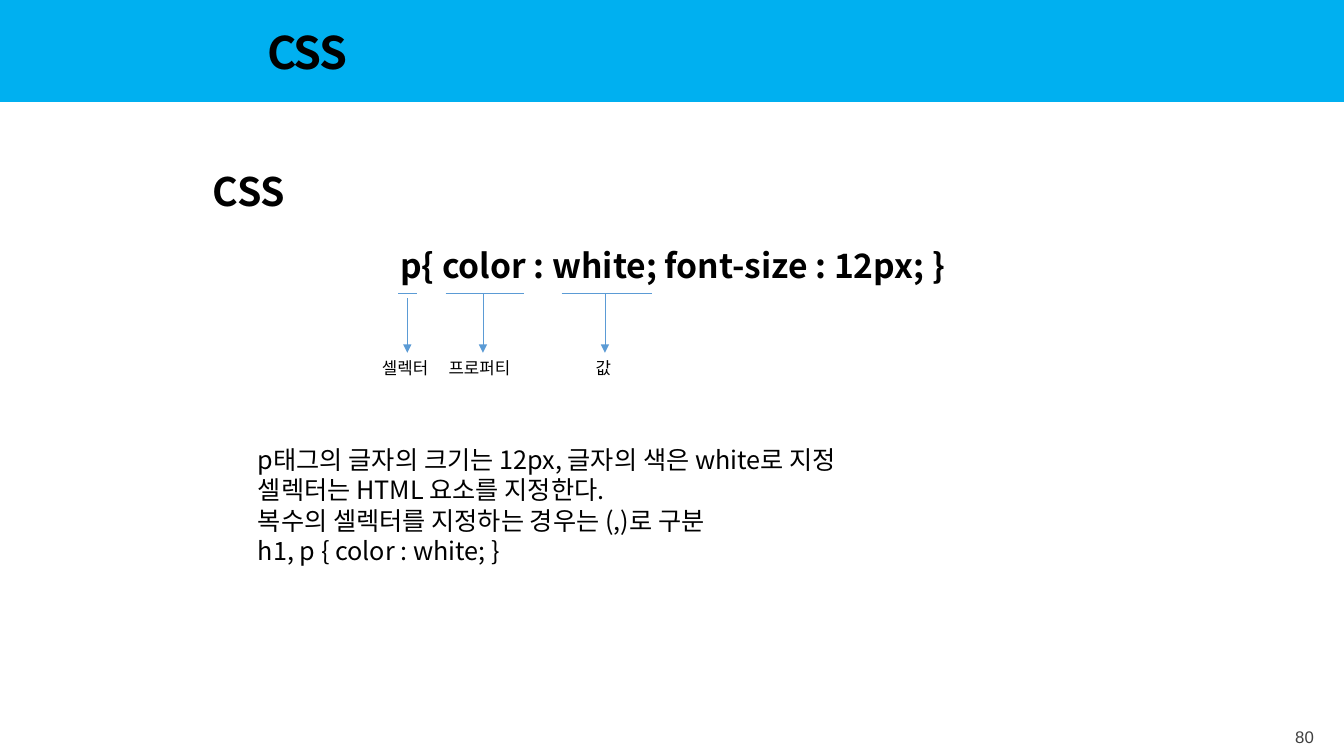
from dataclasses import dataclass

from pptx import Presentation
from pptx.dml.color import RGBColor
from pptx.enum.shapes import MSO_CONNECTOR, MSO_SHAPE
from pptx.enum.text import MSO_AUTO_SIZE, PP_ALIGN
from pptx.oxml.ns import qn
from pptx.util import Inches, Pt
from lxml.etree import SubElement


@dataclass(frozen=True)
class Theme:
    """Colours, fonts and type sizes of the slide."""
    band: RGBColor = RGBColor(0x00, 0xB0, 0xF0)
    ink: RGBColor = RGBColor(0x00, 0x00, 0x00)
    page: RGBColor = RGBColor(0x40, 0x40, 0x40)
    arrow: RGBColor = RGBColor(0x5B, 0x9B, 0xD5)
    face: str = "Noto Sans CJK KR"
    page_face: str = "Arial"
    title: int = 32
    heading: int = 28
    code: int = 24
    body: int = 18
    label: int = 12
    rule: float = 0.5


THEME = Theme()
RULE_Y, LABEL_Y = 2.91, 3.5
CODE_PARTS = [
    ("셀렉터", (3.95, 4.14), (4.04, 2.96), (3.69, 0.71)),
    ("프로퍼티", (4.42, 5.2), (4.79, RULE_Y), (4.35, 0.88)),
    ("값", (5.57, 6.47), (6, RULE_Y), (5.81, 0.37)),
]
EXPLANATION = [
    "p태그의 글자의 크기는 12px, 글자의 색은 white로 지정",
    "셀렉터는 HTML 요소를 지정한다.",
    "복수의 셀렉터를 지정하는 경우는 (,)로 구분",
    "h1, p { color : white; }",
]


def add_band(slide, width, height):
    """Draw the coloured band behind the title."""
    band = slide.shapes.add_shape(MSO_SHAPE.RECTANGLE, 0, 0, Inches(width), Inches(height))
    band.shadow.inherit = False
    band.fill.solid()
    band.fill.fore_color.rgb = THEME.band
    band.line.fill.background()


def add_text(slide, box, lines, size, bold=False, color=THEME.ink, face=THEME.face,
             align=PP_ALIGN.LEFT, wrap=True, grow=True, inset=0.05, spacing=0):
    """Write lines of text, one paragraph each, in a box given in inches."""
    frame = slide.shapes.add_textbox(*map(Inches, box)).text_frame
    frame_format = {
        "word_wrap": wrap,
        "auto_size": MSO_AUTO_SIZE.SHAPE_TO_FIT_TEXT if grow else MSO_AUTO_SIZE.NONE,
        "margin_top": Inches(inset),
        "margin_bottom": Inches(inset),
    }
    for name, value in frame_format.items():
        setattr(frame, name, value)
    frame.text = "\n".join(lines)
    for paragraph in frame.paragraphs:
        paragraph.alignment = align
        for run in paragraph.runs:
            for name, value in {"size": Pt(size), "bold": bold, "name": face}.items():
                setattr(run.font, name, value)
            run.font.color.rgb = color
            properties = run.font._element
            SubElement(properties, qn("a:ea"), typeface=face)
            if spacing:
                properties.set("spc", str(spacing * 100))


def add_line(slide, start, end, arrow=False):
    """Draw a thin line between two points, with an arrowhead if asked."""
    line = slide.shapes.add_connector(MSO_CONNECTOR.STRAIGHT, *map(Inches, start + end))
    line.line.color.rgb = THEME.arrow
    line.line.width = Pt(THEME.rule)
    if arrow:
        SubElement(line.line._get_or_add_ln(), qn("a:tailEnd"), type="triangle")
    SubElement(line._element.spPr, qn("a:effectLst"))


def add_code_part(slide, name, underline, arrow_start, label):
    """Underline one part of the rule and point to its name."""
    left, right = underline
    add_line(slide, (left, RULE_Y), (right, RULE_Y))
    add_line(slide, arrow_start, (arrow_start[0], LABEL_Y), arrow=True)
    label_left, label_width = label
    add_text(slide, (label_left, LABEL_Y, label_width, 0.3), [name], THEME.label, wrap=False)


def main():
    """Build the CSS syntax slide and save it."""
    deck = Presentation()
    deck.slide_width, deck.slide_height = Inches(13.33), Inches(7.5)
    slide = deck.slides.add_slide(deck.slide_layouts[6])
    add_text(slide, (12.72, 7.16, 0.41, 0.3), ["80"], THEME.label, color=THEME.page,
             face=THEME.page_face, align=PP_ALIGN.RIGHT, wrap=False)
    add_band(slide, 13.33, 1.01)
    add_text(slide, (2.55, 0.2, 7.72, 0.64), ["CSS"], THEME.title, bold=True, spacing=-1)
    add_text(slide, (2.01, 1.56, 9.32, 0.63), ["CSS"], THEME.heading, bold=True,
             grow=False, inset=0.1)
    add_text(slide, (2.01, 2.33, 9.32, 0.63), ["p{ color : white; font-size : 12px; }"],
             THEME.code, bold=True, align=PP_ALIGN.CENTER, grow=False, inset=0.1)
    for part in CODE_PARTS:
        add_code_part(slide, *part)
    add_text(slide, (2.46, 4.36, 7.81, 1.31), EXPLANATION, THEME.body)
    deck.save("out.pptx")


if __name__ == "__main__":
    main()
